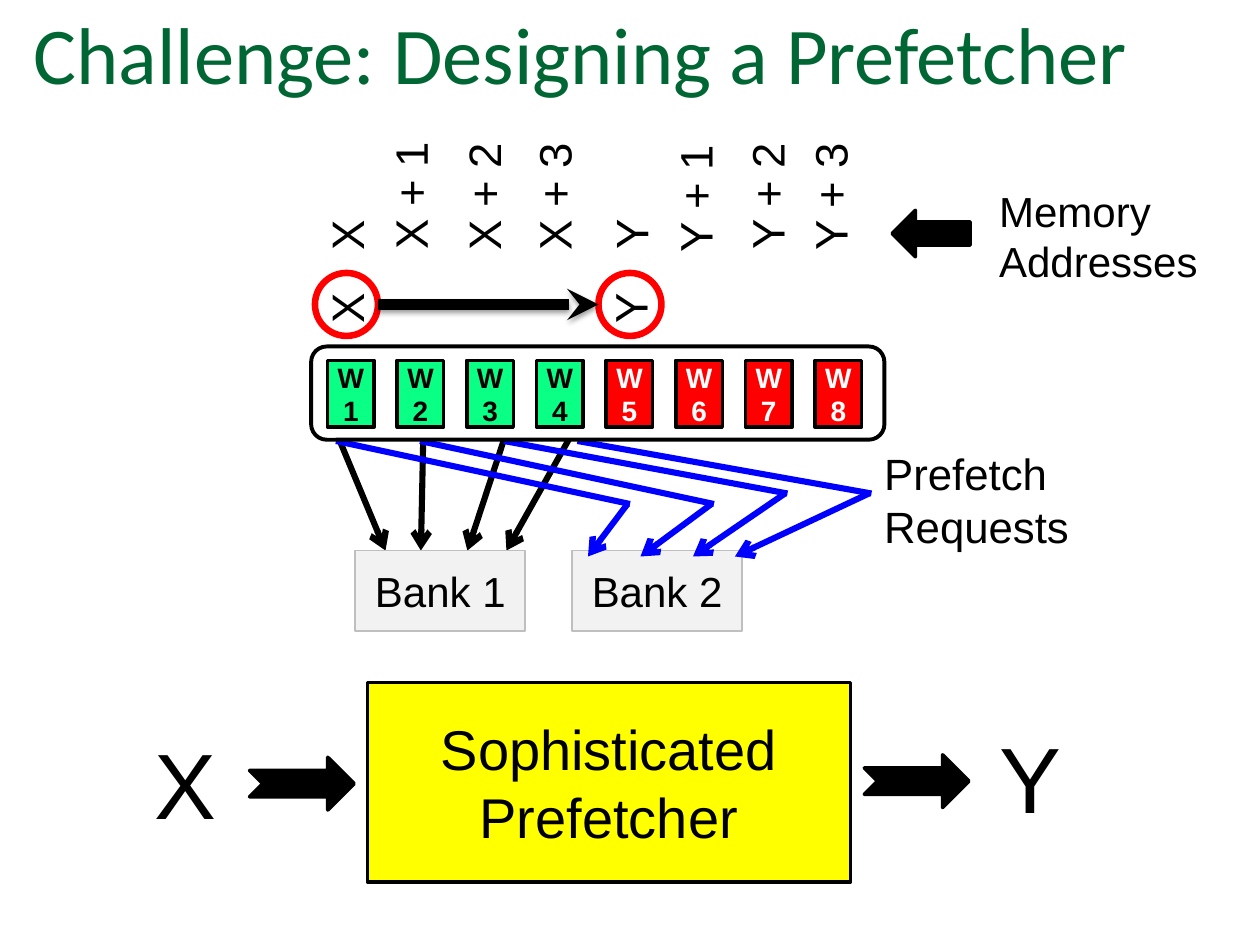
import pptx
import pptx.dml.color
import pptx.enum.shapes
import pptx.enum.text
import pptx.oxml
import pptx.oxml.ns
import pptx.util
import lxml.etree

Pt = pptx.util.Pt
RGBColor = pptx.dml.color.RGBColor
SHAPE = pptx.enum.shapes.MSO_SHAPE
ALIGN = pptx.enum.text.PP_ALIGN
ANCHOR = pptx.enum.text.MSO_ANCHOR
AUTO_SIZE = pptx.enum.text.MSO_AUTO_SIZE
qn = pptx.oxml.ns.qn

BLACK = RGBColor(0x00, 0x00, 0x00)
WHITE = RGBColor(0xFF, 0xFF, 0xFF)
RED = RGBColor(0xFF, 0x00, 0x00)
BLUE = RGBColor(0x00, 0x00, 0xFF)
YELLOW = RGBColor(0xFF, 0xFF, 0x00)
WORD_GREEN = RGBColor(0x0A, 0xFF, 0x85)
TITLE_GREEN = RGBColor(0x00, 0x66, 0x33)
BANK_FILL = RGBColor(0xF2, 0xF2, 0xF2)
BANK_LINE = RGBColor(0xBF, 0xBF, 0xBF)

presentation = pptx.Presentation()
presentation.slide_width = Pt(720)
presentation.slide_height = Pt(540)
slide = presentation.slides.add_slide(presentation.slide_layouts[5])


def add_box(kind, frame, text="", size=24, color=BLACK, fill=None,
            outline=BLACK, width=2, insets=(7.2, 3.6), bold=None):
    frame = [Pt(length) for length in frame]
    if kind is None:
        shape = slide.shapes.add_textbox(*frame)
        shape.text_frame.auto_size = AUTO_SIZE.SHAPE_TO_FIT_TEXT
    else:
        shape = slide.shapes.add_shape(kind, *frame)
        shape.shadow.inherit = False
        if fill is None:
            shape.fill.background()
        else:
            shape.fill.solid()
            shape.fill.fore_color.rgb = fill
        shape.line.color.rgb = outline
        shape.line.width = Pt(width)
    if text:
        text_frame = shape.text_frame
        text_frame.word_wrap = True
        text_frame.margin_left = text_frame.margin_right = Pt(insets[0])
        text_frame.margin_top = text_frame.margin_bottom = Pt(insets[1])
        text_frame.vertical_anchor = ANCHOR.TOP if kind is None else ANCHOR.MIDDLE
        text_frame.text = text
        for paragraph in text_frame.paragraphs:
            paragraph.alignment = ALIGN.LEFT if kind is None else ALIGN.CENTER
            paragraph.font.name = "Arial"
            paragraph.font.size = Pt(size)
            paragraph.font.bold = bold
            paragraph.font.color.rgb = color
    return shape


def add_line(start, end, color, width=3.5, arrowhead=None):
    connector = slide.shapes.add_connector(
        pptx.enum.shapes.MSO_CONNECTOR.STRAIGHT,
        *[Pt(length) for length in (*start, *end)])
    connector.line.color.rgb = color
    connector.line.width = Pt(width)
    if arrowhead:
        line_element = connector.line._get_or_add_ln()
        lxml.etree.SubElement(line_element, qn("a:tailEnd"), type=arrowhead)
    properties = connector._element.spPr
    return lxml.etree.SubElement(properties, qn("a:effectLst"))


title = slide.shapes.title
title.left, title.top, title.width, title.height = Pt(12), Pt(0), Pt(678), Pt(60)
title.text_frame.text = "Challenge: Designing a Prefetcher"
title.text_frame.auto_size = AUTO_SIZE.NONE
title.text_frame.vertical_anchor = ANCHOR.MIDDLE
paragraph = title.text_frame.paragraphs[0]
paragraph.alignment = ALIGN.LEFT
paragraph.font.name = "Calibri"
paragraph.font.size = Pt(46)
paragraph.font.color.rgb = TITLE_GREEN

vertical_labels = [
    ("X", 197.6, 146.6), ("X + 1", 234, 146.4), ("X + 2", 275.8, 146.6),
    ("X + 3", 316.1, 146.6), ("Y", 360, 146.4), ("Y + 1", 396.7, 147.6),
    ("Y + 2", 437.8, 146.4), ("Y + 3", 473.8, 146.6),
    ("X", 197.6, 188.6), ("Y", 359.6, 188.6),
]
label_length, label_height = 75, 35.3
for text, center, bottom in vertical_labels:
    frame = (center - label_length / 2, bottom - (label_length + label_height) / 2,
             label_length, label_height)
    label = add_box(None, frame, text, 26, insets=(3.6, 2.16))
    label.rotation = 270

add_box(SHAPE.LEFT_ARROW, (509.8, 120.2, 44.6, 26.6), fill=BLACK)
add_box(None, (563.8, 102.2, 138.2, 65.5), "Memory Addresses")
add_box(None, (498.2, 252, 221.8, 67.7), "Prefetch\nRequests", 25)

for start_x, end_x in [(193, 220.3), (288.7, 267.1), (326.2, 289.4), (241.9, 240.5)]:
    add_line((start_x, 249.1), (end_x, 314.6), BLACK, arrowhead="arrow")

for number, left in [(1, 203), (2, 326.9)]:
    add_box(SHAPE.RECTANGLE, (left, 314.6, 97.2, 46.1), f"Bank {number}",
            fill=BANK_FILL, outline=BANK_LINE, width=1, insets=(0, 0))

prefetch_paths = [
    (192, 360, 288, 336), (240, 408, 288, 366),
    (288, 450, 282, 396), (330, 498, 282, 420),
]
for start_x, turn_x, turn_y, end_x in prefetch_paths:
    add_line((start_x, 252), (turn_x, turn_y), BLUE)
    add_line((turn_x - 1.4, turn_y), (end_x, 318), BLUE, arrowhead="arrow")

add_box(SHAPE.ROUNDED_RECTANGLE, (177.8, 198, 327.6, 53.3), fill=WHITE, width=2.25)
for index in range(8):
    fill, color = (WORD_GREEN, BLACK) if index < 4 else (RED, WHITE)
    add_box(SHAPE.RECTANGLE, (187.2 + 39.8 * index, 205.9, 26.6, 38.2),
            f"W{index + 1}", 16, color, fill, insets=(3.6, 2.16), bold=True)

for left in (180, 342):
    add_box(SHAPE.OVAL, (left, 156, 36, 36), outline=RED, width=3.75)
effects = add_line((216, 174), (342, 174), BLACK, 6, "stealth")
shadow = lxml.etree.SubElement(effects, qn("a:outerShdw"), blurRad=str(Pt(3.1)),
                               dist=str(Pt(1.6)), dir="5400000", rotWithShape="0")
shadow_color = lxml.etree.SubElement(shadow, qn("a:srgbClr"), val=str(BLACK))
lxml.etree.SubElement(shadow_color, qn("a:alpha"), val="38000")

add_box(SHAPE.RECTANGLE, (210, 390, 276, 114), "Sophisticated Prefetcher", 32,
        fill=YELLOW)
for text, left, top in [("X", 81.4, 411.8), ("Y", 563.8, 408.2)]:
    add_box(None, (left, top, 138.2, 71.3), text, 53)
for left, top in [(142.6, 432.7), (493.9, 431.3)]:
    add_box(SHAPE.NOTCHED_RIGHT_ARROW, (left, top, 59.8, 30.2), fill=BLACK)

presentation.save("out.pptx")
